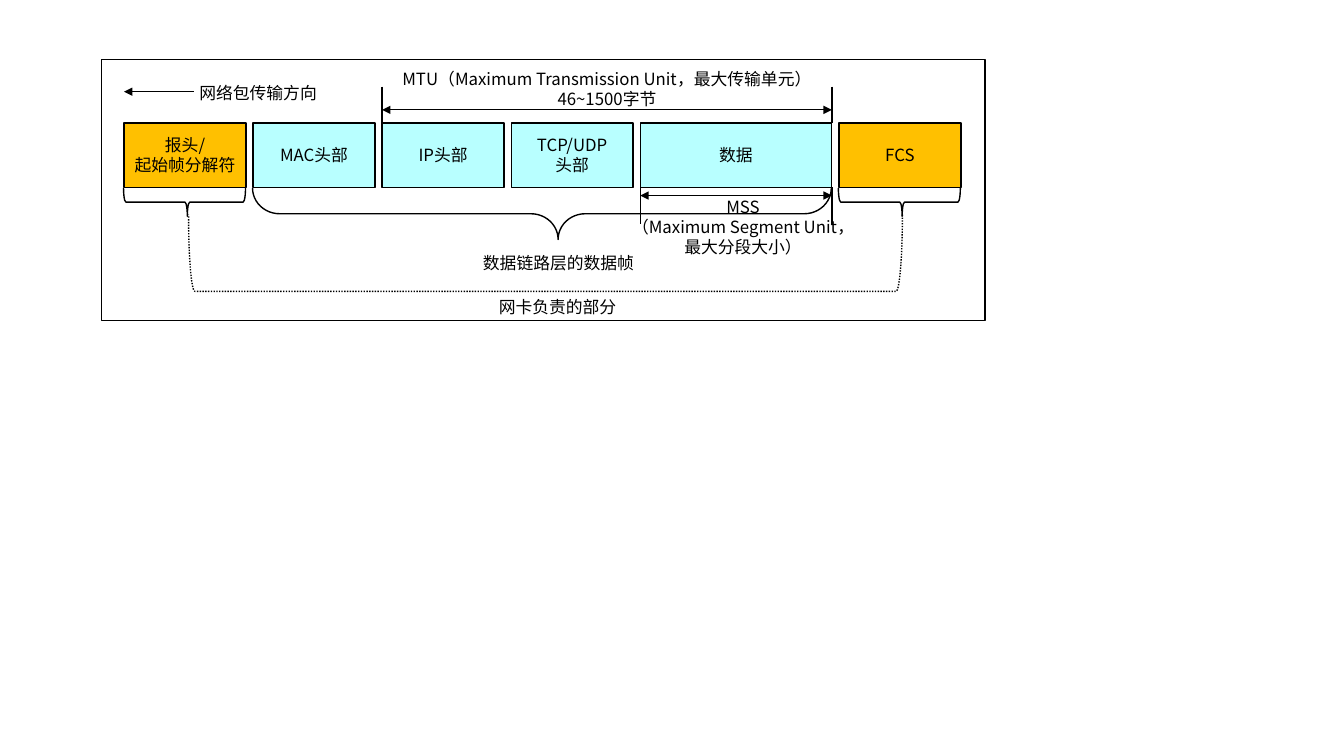
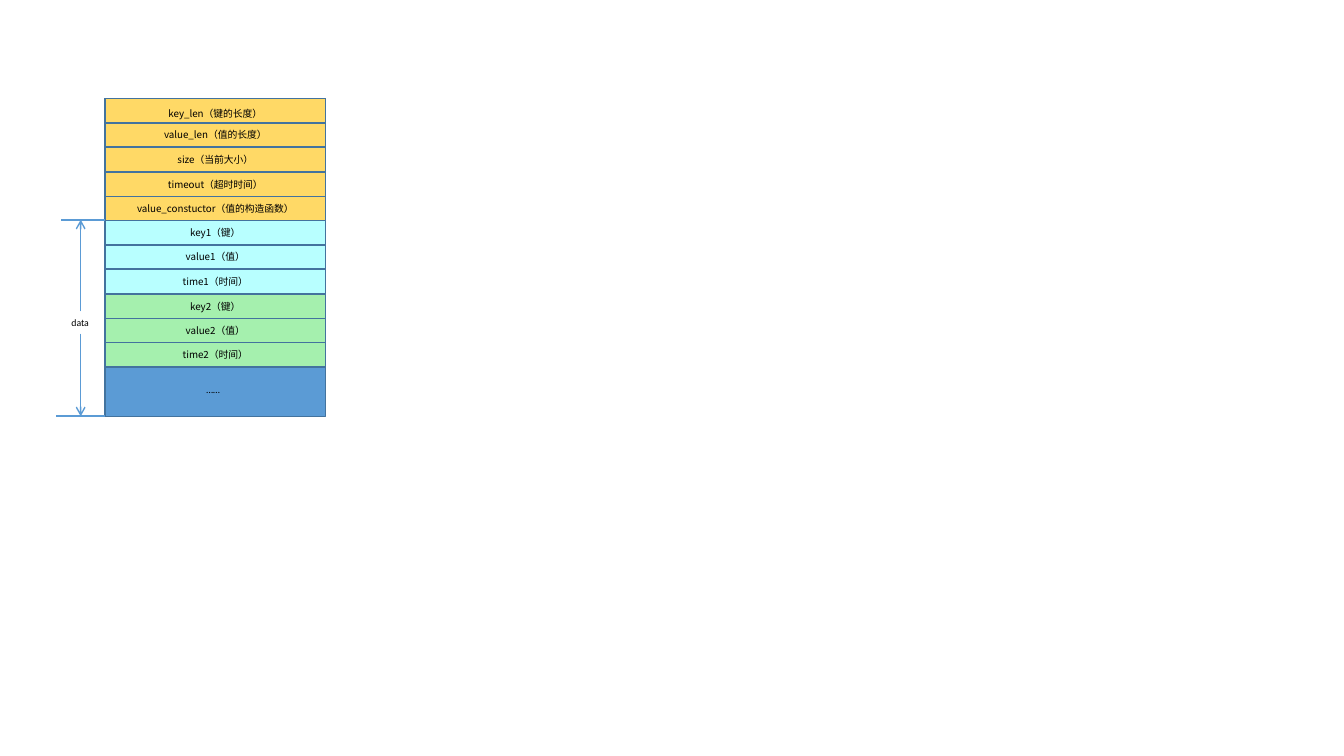
"""Build two diagram slides: the layout of a network packet and of a cache's memory."""
from dataclasses import dataclass
from typing import Optional

import lxml.etree
import pptx
import pptx.dml.color
import pptx.enum.dml
import pptx.enum.shapes
import pptx.enum.text
import pptx.oxml.ns
import pptx.shapes.autoshape
import pptx.slide
import pptx.text.text
import pptx.util

RGBColor = pptx.dml.color.RGBColor
BLACK = RGBColor(0x00, 0x00, 0x00)
AMBER = RGBColor(0xFF, 0xC0, 0x00)
CYAN = RGBColor(0xB8, 0xFF, 0xFF)
YELLOW = RGBColor(0xFF, 0xD9, 0x66)
GREEN = RGBColor(0xA5, 0xF0, 0xAE)
BLUE = RGBColor(0x5B, 0x9B, 0xD5)
NAVY = RGBColor(0x43, 0x73, 0x9E)

EMU_PER_PX = 9144
CJK_FONT = "Noto Sans CJK SC"
LATIN_FONT = "Calibri"

MSO_SHAPE = pptx.enum.shapes.MSO_SHAPE
PP_ALIGN = pptx.enum.text.PP_ALIGN
BOX_FRAME = {
    "word_wrap": True,
    "vertical_anchor": pptx.enum.text.MSO_ANCHOR.MIDDLE,
}
LABEL_FRAME = {
    "word_wrap": False,
    "vertical_anchor": pptx.enum.text.MSO_ANCHOR.TOP,
    "auto_size": pptx.enum.text.MSO_AUTO_SIZE.SHAPE_TO_FIT_TEXT,
}


@dataclass(frozen=True)
class TextStyle:
    size: int
    font: str = CJK_FONT
    align: PP_ALIGN = PP_ALIGN.CENTER


@dataclass(frozen=True)
class Box:
    left: int
    top: int
    width: int
    height: int
    fill: Optional[RGBColor] = None
    outline: RGBColor = BLACK
    text: str = ""


@dataclass(frozen=True)
class Label:
    left: int
    top: int
    width: int
    height: int
    text: str


@dataclass(frozen=True)
class Line:
    start: tuple[int, int]
    end: tuple[int, int]
    width: float = 1
    color: RGBColor = BLACK
    head: str = ""
    tail: str = ""


@dataclass(frozen=True)
class Bracket:
    left: int
    top: int
    span: int
    depth: int
    preset: MSO_SHAPE = MSO_SHAPE.LEFT_BRACE
    adjustments: tuple[float, ...] = (0.083, 0.523)
    dash: Optional[pptx.enum.dml.MSO_LINE] = None


PACKET_TEXT = TextStyle(12)
ROW_TEXT = TextStyle(7)
DATA_TEXT = TextStyle(7, LATIN_FONT, PP_ALIGN.LEFT)


def px(*lengths: int) -> list[pptx.util.Emu]:
    return [pptx.util.Emu(length * EMU_PER_PX) for length in lengths]


def write(frame: pptx.text.text.TextFrame, text: str, style: TextStyle,
          frame_format: dict[str, object]) -> None:
    for attribute, value in frame_format.items():
        setattr(frame, attribute, value)
    frame.text = text
    run_format = {"name": style.font, "size": pptx.util.Pt(style.size)}
    for paragraph in frame.paragraphs:
        paragraph.alignment = style.align
        for run in paragraph.runs:
            for attribute, value in run_format.items():
                setattr(run.font, attribute, value)
            run.font.color.rgb = BLACK
            east_asian = lxml.etree.SubElement(
                run.font._element, pptx.oxml.ns.qn("a:ea"))
            east_asian.set("typeface", style.font)


def draw_shape(slide: pptx.slide.Slide, preset: MSO_SHAPE, bounds: tuple[int, ...],
               fill: Optional[RGBColor],
               outline: RGBColor) -> pptx.shapes.autoshape.Shape:
    shape = slide.shapes.add_shape(preset, *px(*bounds))
    shape.shadow.inherit = False
    if fill is None:
        shape.fill.background()
    else:
        shape.fill.solid()
        shape.fill.fore_color.rgb = fill
    shape.line.color.rgb = outline
    shape.line.width = pptx.util.Pt(1)
    return shape


def draw_box(slide: pptx.slide.Slide, box: Box, style: TextStyle) -> None:
    bounds = (box.left, box.top, box.width, box.height)
    shape = draw_shape(slide, MSO_SHAPE.RECTANGLE, bounds, box.fill, box.outline)
    if box.text:
        write(shape.text_frame, box.text, style, BOX_FRAME)


def draw_label(slide: pptx.slide.Slide, label: Label, style: TextStyle) -> None:
    bounds = px(label.left, label.top, label.width, label.height)
    write(slide.shapes.add_textbox(*bounds).text_frame, label.text, style, LABEL_FRAME)


def draw_line(slide: pptx.slide.Slide, line: Line) -> None:
    connector = slide.shapes.add_connector(
        pptx.enum.shapes.MSO_CONNECTOR.STRAIGHT, *px(*line.start, *line.end))
    connector.line.color.rgb = line.color
    connector.line.width = pptx.util.Pt(line.width)
    properties = connector._element.spPr
    stroke = properties.find(pptx.oxml.ns.qn("a:ln"))
    for tag, arrow in (("a:headEnd", line.head), ("a:tailEnd", line.tail)):
        if arrow:
            lxml.etree.SubElement(stroke, pptx.oxml.ns.qn(tag)).set("type", arrow)
    lxml.etree.SubElement(properties, pptx.oxml.ns.qn("a:effectLst"))


def draw_bracket(slide: pptx.slide.Slide, bracket: Bracket) -> None:
    shift = (bracket.span - bracket.depth) // 2
    bounds = (bracket.left + shift, bracket.top - shift, bracket.depth, bracket.span)
    shape = draw_shape(slide, bracket.preset, bounds, None, BLACK)
    shape.rotation = 270
    for index, value in enumerate(bracket.adjustments):
        shape.adjustments[index] = value
    if bracket.dash is not None:
        shape.line.dash_style = bracket.dash


def build_packet(slide: pptx.slide.Slide) -> None:
    top, height, gap, narrow, wide = 122, 64, 7, 121, 190
    bottom = top + height
    fields = (
        ("报头/\n起始帧分解符", narrow, AMBER),
        ("MAC头部", narrow, CYAN),
        ("IP头部", narrow, CYAN),
        ("TCP/UDP\n头部", narrow, CYAN),
        ("数据", wide, CYAN),
        ("FCS", narrow, AMBER),
    )
    draw_box(slide, Box(101, 59, 876, 259), PACKET_TEXT)
    lefts = []
    left = 123
    for text, width, fill in fields:
        draw_box(slide, Box(left, top, width, height, fill, text=text), PACKET_TEXT)
        lefts.append(left)
        left += width + gap
    preamble, mac, ip, _, payload, checksum = lefts
    payload_end = payload + wide

    both_ends = {"head": "triangle", "tail": "triangle"}
    for line in (
        Line((192, 91), (preamble, 91), 0.5, tail="triangle"),
        Line((payload_end, 86), (payload_end, top)),
        Line((ip, 86), (ip, top)),
        Line((ip, 109), (payload_end, 109), 0.75, **both_ends),
        Line((payload_end, bottom), (payload_end, 222)),
        Line((payload, bottom), (payload, 222)),
        Line((payload, 194), (payload_end, 194), 0.75, **both_ends),
    ):
        draw_line(slide, line)
    for bracket in (
        Bracket(preamble, bottom, narrow, 28),
        Bracket(checksum, bottom, narrow, 28),
        Bracket(187, 213, 708, 76, MSO_SHAPE.LEFT_BRACKET, (0.083,),
                pptx.enum.dml.MSO_LINE.ROUND_DOT),
        Bracket(mac, bottom, payload_end - mac, 51, adjustments=(0.527, 0.528)),
    ):
        draw_bracket(slide, bracket)
    for label in (
        Label(187, 77, 138, 30, "网络包传输方向"),
        Label(383, 63, 438, 50,
              "MTU（Maximum Transmission Unit，最大传输单元）\n46~1500字节"),
        Label(612, 190, 250, 71, "MSS\n（Maximum Segment Unit，\n最大分段大小）"),
        Label(477, 289, 152, 30, "网卡负责的部分"),
        Label(468, 246, 172, 30, "数据链路层的数据帧"),
    ):
        draw_label(slide, label, PACKET_TEXT)


def build_memory(slide: pptx.slide.Slide) -> None:
    left, top, width, height, pitch = 104, 98, 219, 315, 24.2
    sections = (
        (YELLOW, ("key_len（键的长度）", "value_len（值的长度）", "size（当前大小）",
                  "timeout（超时时间）", "value_constuctor（值的构造函数）")),
        (CYAN, ("key1（键）", "value1（值）", "time1（时间）")),
        (GREEN, ("key2（键）", "value2（值）", "time2（时间）")),
    )
    draw_box(slide, Box(left, top, width, height, BLUE, NAVY), ROW_TEXT)
    rows = [(fill, text) for fill, texts in sections for text in texts]
    for index, (fill, text) in enumerate(rows):
        row_height = 24 if index else 30
        row_top = round(top + index * pitch)
        draw_box(slide, Box(left, row_top, width, row_height, fill, NAVY, text), ROW_TEXT)

    data_top = round(top + len(sections[0][1]) * pitch) - 1
    data_bottom = top + height
    for line in (
        Line((61, data_top), (left, data_top), 1.5, BLUE),
        Line((56, data_bottom), (left, data_bottom), 1.5, BLUE),
        Line((80, 309), (80, data_top), 1, BLUE, tail="arrow"),
        Line((80, 331), (80, data_bottom), 1, BLUE, tail="arrow"),
    ):
        draw_line(slide, line)
    for label in (Label(195, 376, 34, 22, "……"), Label(61, 309, 38, 22, "data")):
        draw_label(slide, label, DATA_TEXT)


def main() -> None:
    deck = pptx.Presentation()
    deck.slide_width, deck.slide_height = px(1333, 750)
    blank = deck.slide_layouts[6]
    for build in (build_packet, build_memory):
        build(deck.slides.add_slide(blank))
    deck.save("out.pptx")


if __name__ == "__main__":
    main()
